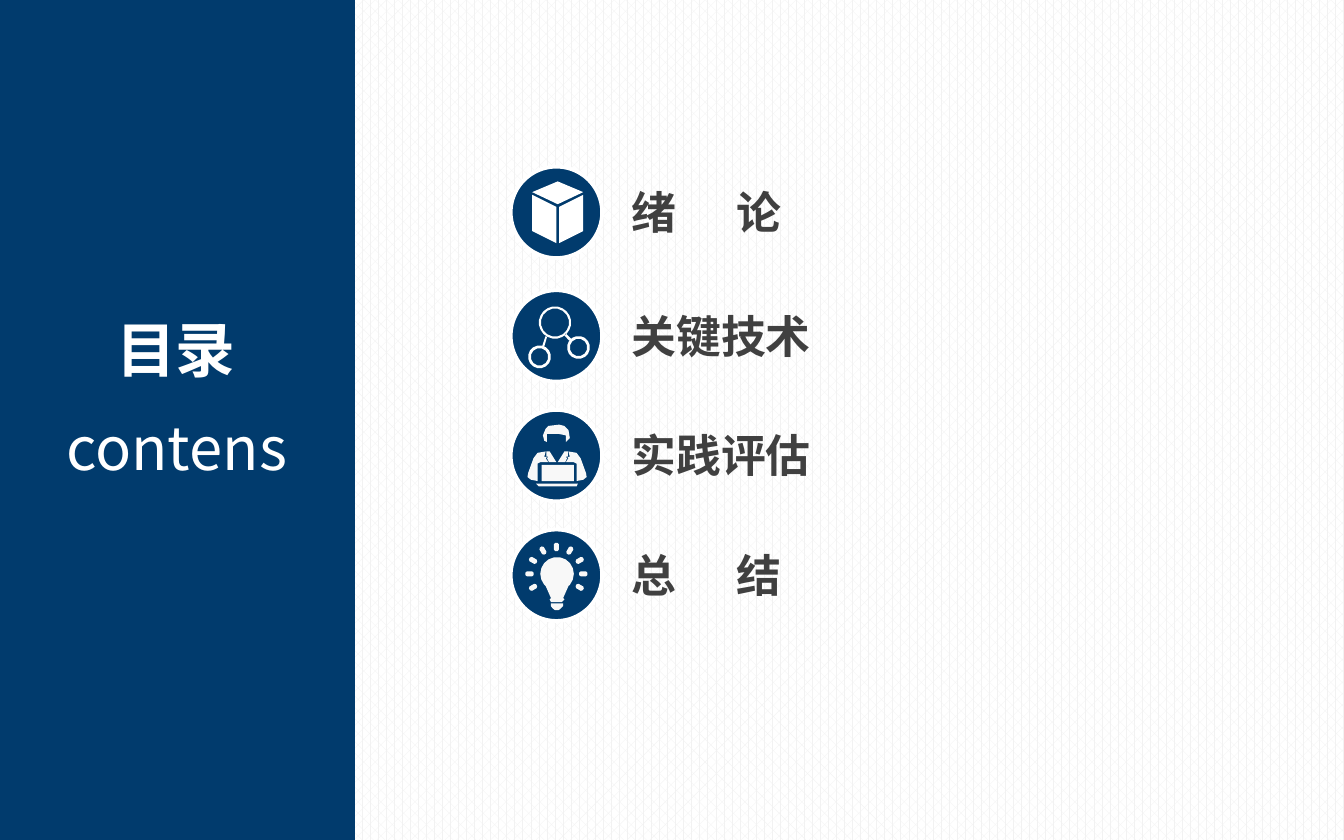
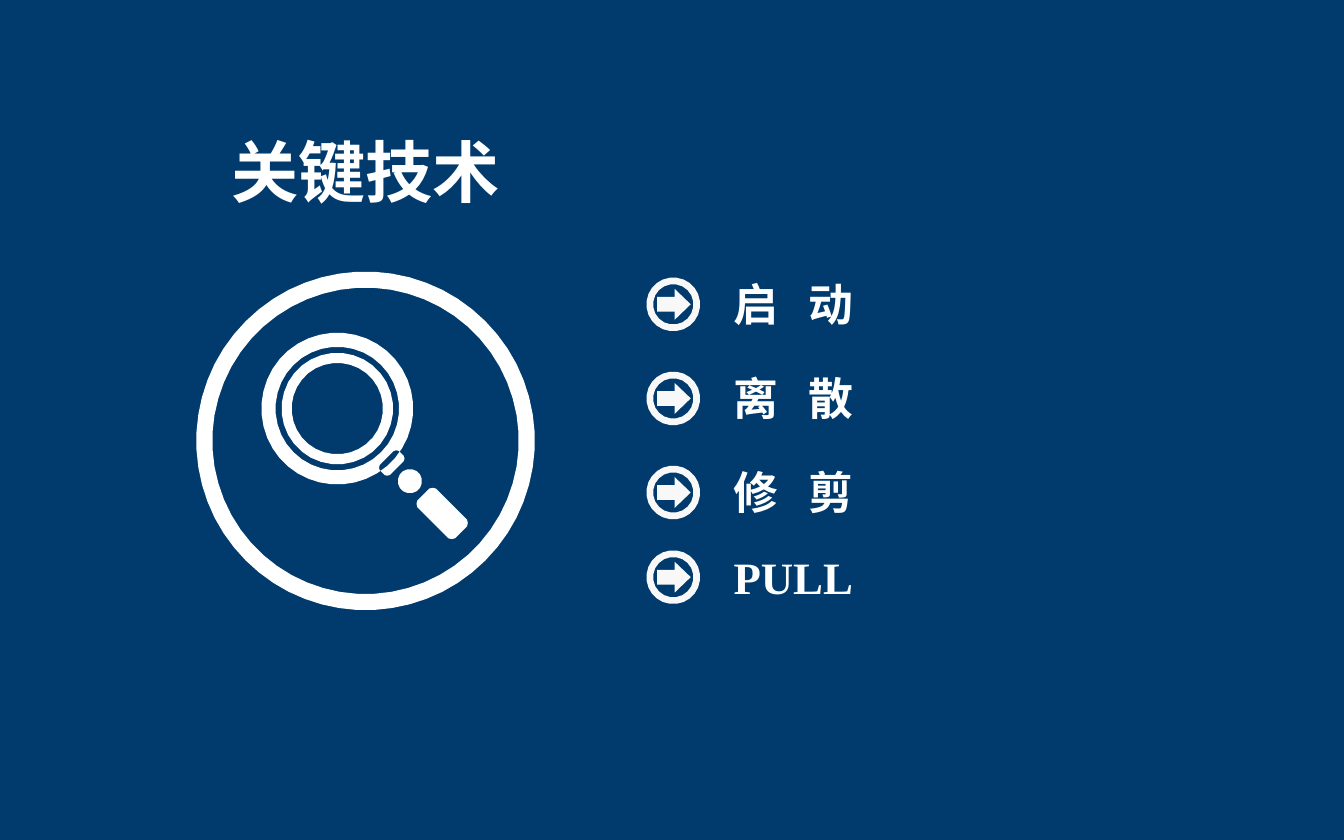
"""Build a contents slide and a section slide in a navy and white style."""
import math

from lxml import etree
from pptx import Presentation
from pptx import util as u
from pptx.dml.color import RGBColor
from pptx.enum import dml, shapes, text
from pptx.oxml.ns import qn

NAVY = RGBColor(0x01, 0x3B, 0x6D)
WHITE = RGBColor(0xFF, 0xFF, 0xFF)
OFF_WHITE = RGBColor(0xF8, 0xF8, 0xF8)
PALE_GREY = RGBColor(0xF2, 0xF2, 0xF2)
CHARCOAL = RGBColor(0x40, 0x40, 0x40)
SANS = "Noto Sans CJK SC"
SERIF = "Times New Roman"
CELL = u.Inches(0.1)
COLUMNS, ROWS = 100, 62.5
DETAIL = 100
ICON_UNIT = 10


def polar(x, y, radius, degrees):
    angle = math.radians(degrees)
    return x + radius * math.cos(angle), y + radius * math.sin(angle)


def rounded(x, y, width, height, radius, angle=0):
    turn = math.radians(angle)
    count = 4 * max(2, round(1.3 * math.sqrt(radius)))
    points = []
    for index in range(count):
        across, down = polar(0, 0, radius, (index + 0.5) * 360 / count)
        dx = across + math.copysign(width / 2 - radius, across)
        dy = down + math.copysign(height / 2 - radius, down)
        points.append((x + dx * math.cos(turn) - dy * math.sin(turn),
                       y + dx * math.sin(turn) + dy * math.cos(turn)))
    return points


def rings(x, y, *radii):
    return [rounded(x, y, 2 * radius, 2 * radius, radius) for radius in radii]


def with_mirror(points, axis):
    return [points, [(2 * axis - x, y) for x, y in points]]


def cube():
    face = [(20, 14), (2, 23), (2, -4), (20, -13)]
    lid = [(1, -23), (20, -15), (1, -6), (-18, -15)]
    return with_mirror(face, 1) + [lid]


def molecule():
    links = [[(-7, 1), (-8, 0), (-10.5, 7.5), (-9, 8)],
             [(6, -0.5), (7, -2), (11, 2), (10, 4)]]
    return (rings(-1, -10, 12, 10.5) + rings(-12.5, 15.5, 8.5, 6.5)
            + rings(16.5, 8.5, 8.5, 6.5) + links)


def worker():
    hair = [(-7, -10), (-9, -11), (-10, -15), (-8, -20), (-6, -22), (2, -23), (6, -22),
            (9, -19), (10, -13), (7, -10), (7, -15), (2, -16), (-7, -16)]
    arm = [(-14, 19), (-19, 18), (-21.5, 16), (-21, 13), (-17, 2), (-14, -2), (-8, -3),
           (-9, 1), (-7, 1), (-8, 2), (-6, 5), (-12, 5), (-14, 6)]
    collar = [(-7.5, -3), (-5, -3), (0, 5), (-5.5, 5), (-7, 2), (-6, 1), (-7.5, 0.5)]
    screen = [(-11, 7), (13, 7), (13, 19), (-11, 19)]
    keyboard = [(-15, 21), (16, 21), (15, 23), (-13, 23)]
    return with_mirror(arm, 0.5) + with_mirror(collar, 0.5) + [hair, screen, keyboard]


def bulb():
    glass = [polar(0.5, -1, 12.5, degrees) for degrees in range(140, 401, 20)]
    neck = [(9, 8), (5, 17), (6, 18), (4, 20), (-4, 20), (-5, 18), (-4, 17), (-8, 8)]
    cap = [(-4, 21), (5, 21), (5, 23), (3, 25), (1.5, 26), (-1, 26), (-3, 24.5), (-4, 23)]
    rays = [rounded(*polar(0, -1, 20, angle - 90), 4, 6.5, 2, angle)
            for angle in range(-120, 121, 30)]
    return [glass + neck, cap] + rays


def magnifier():
    clip = rounded(19.5, 16.5, 20.5, 11, 4, -45)
    handle = rounded(57, 54, 40, 20, 5, 45)
    return (rings(0, 0, 126, 114) + rings(-21, -24, 56.5, 46, 41.5, 34)
            + rings(33, 30, 9) + [clip, handle])


def arrow_badge():
    arrow = [(-12, 5.5), (1, 5.5), (1, 11.5), (13, 0), (1, -11.5), (1, -5.5), (-12, -5.5)]
    return rings(0, 0, 20, 15) + [arrow]


def write(para, words, size=24, color=WHITE, font=SANS, bold=True, gap=0,
          align=text.PP_ALIGN.LEFT):
    para.alignment = align
    for piece in filter(None, words.partition(" ")):
        span = para.add_run()
        span.text = piece
        span.font.size = u.Pt(size)
        span.font.bold = bold
        span.font.color.rgb = color
        span.font.name = font
        props = span._r.get_or_add_rPr()
        etree.SubElement(props, qn("a:ea")).set("typeface", font)
        if piece == " ":
            props.set("spc", str(round(gap * 100)))


class Deck:
    """Hold the shared style and the slide being drawn."""

    def __init__(self):
        self.deck = Presentation()
        self.deck.slide_width = u.Emu(COLUMNS * CELL)
        self.deck.slide_height = u.Emu(round(ROWS * CELL))
        self.page = None

    def add_page(self, color, pattern=None, ink=None):
        self.page = self.deck.slides.add_slide(self.deck.slide_layouts[6])
        fill = self.page.background.fill
        if pattern is None:
            fill.solid()
            fill.fore_color.rgb = color
        else:
            fill.patterned()
            fill.pattern = pattern
            fill.fore_color.rgb = ink
            fill.back_color.rgb = color

    def place(self, *cells):
        return [u.Emu(round(cell * CELL)) for cell in cells]

    def paint(self, shape, fill, line=None):
        shape.shadow.inherit = False
        shape.fill.solid()
        shape.fill.fore_color.rgb = fill
        if line is None:
            shape.line.fill.background()
        else:
            shape.line.color.rgb = line
            shape.line.width = u.Pt(2)

    def shape(self, kind, column, row, width, height, fill, line=None):
        shape = self.page.shapes.add_shape(kind, *self.place(column, row, width, height))
        self.paint(shape, fill, line)

    def icon(self, contours, column, row, fill):
        outlines = [[(column * DETAIL + x * ICON_UNIT, row * DETAIL + y * ICON_UNIT)
                     for x, y in contour] for contour in contours]
        builder = self.page.shapes.build_freeform(*outlines[0][0], scale=CELL / DETAIL)
        builder.add_line_segments(outlines[0][1:])
        for outline in outlines[1:]:
            builder.move_to(*outline[0])
            builder.add_line_segments(outline[1:])
        self.paint(builder.convert_to_shape(), fill)

    def label(self, words, column, row, width, height=5, **style):
        box = self.page.shapes.add_textbox(*self.place(column, row, width, height))
        frame = box.text_frame
        frame.word_wrap = False
        frame.auto_size = text.MSO_AUTO_SIZE.SHAPE_TO_FIT_TEXT
        write(frame.paragraphs[0], words, **style)


def contents(deck):
    deck.add_page(WHITE, dml.MSO_PATTERN.PERCENT_60, PALE_GREY)
    deck.shape(shapes.MSO_SHAPE.RECTANGLE, -0.1, 0, 26.5, ROWS, NAVY)
    center = text.PP_ALIGN.CENTER
    deck.label("目录", 7.6, 22.8, 11, 6.4, size=32, align=center)
    deck.label("contens", 3.7, 30.1, 18.9, 6.4, size=32, bold=False, align=center)
    chapters = [("绪 论", cube, 15.8, 14.7, WHITE),
                ("关键技术", molecule, 25, 15.5, WHITE),
                ("实践评估", worker, 33.9, 15.5, OFF_WHITE),
                ("总 结", bulb, 42.8, 14.7, OFF_WHITE)]
    for title, icon, middle, width, fill in chapters:
        deck.shape(shapes.MSO_SHAPE.OVAL, 38, middle - 3.4, 6.8, 6.8, NAVY, WHITE)
        deck.icon(icon(), 41.4, middle, fill)
        deck.label(title, 46, middle - 2.55, width, color=CHARCOAL, gap=27)


def key_techniques(deck):
    deck.add_page(NAVY)
    deck.label("关键技术", 16.1, 9.2, 22.2, 7.1, size=36, align=text.PP_ALIGN.CENTER)
    deck.icon(magnifier(), 27.2, 32.8, WHITE)
    topics = [("启 动", 22.65, 11.7, SANS), ("离 散", 29.65, 11.7, SANS),
              ("修 剪", 36.65, 11.7, SANS), ("PULL", 42.95, 11, SERIF)]
    for topic, middle, width, font in topics:
        deck.icon(arrow_badge(), 50.1, middle, OFF_WHITE)
        deck.label(topic, 53.6, middle - 2.55, width, font=font, gap=10.8)


def main():
    deck = Deck()
    contents(deck)
    key_techniques(deck)
    deck.deck.save("out.pptx")


if __name__ == "__main__":
    main()
